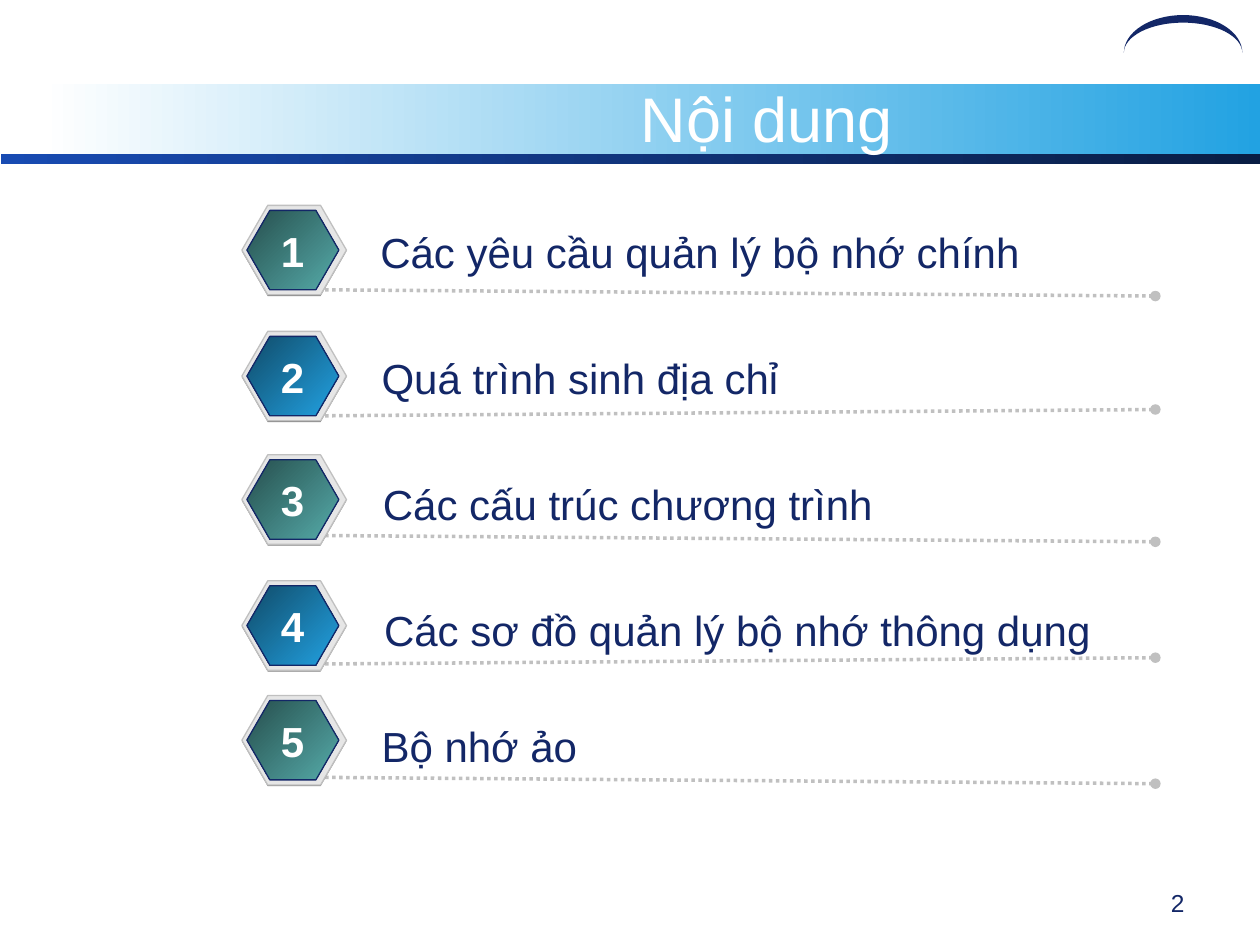
from math import cos, pi, sin
from lxml.etree import SubElement
from pptx import Presentation
from pptx.dml.color import RGBColor
from pptx.enum.dml import MSO_LINE
from pptx.enum.shapes import MSO_CONNECTOR, MSO_SHAPE
from pptx.enum.text import MSO_ANCHOR, PP_ALIGN
from pptx.oxml.ns import qn
from pptx.util import Inches, Pt

WHITE = RGBColor(0xFF, 0xFF, 0xFF)
NAVY = RGBColor(0x13, 0x27, 0x67)
SKY = RGBColor(0x22, 0xA2, 0xE2)
DEEP = RGBColor(0x10, 0x4B, 0x69)
PINE = RGBColor(0x27, 0x4F, 0x4E)
TEAL = RGBColor(0x55, 0xAB, 0xA9)
ROYAL = RGBColor(0x18, 0x4B, 0xB2)
NIGHT = RGBColor(0x09, 0x1D, 0x44)
GRAY = RGBColor(0x80, 0x80, 0x80)
PALE = RGBColor(0xE6, 0xE6, 0xE6)
SILVER = RGBColor(0xC0, 0xC0, 0xC0)

ITEMS = [
    (1.63, 2.92, 1.75, 2.30, "Các yêu cầu quản lý bộ nhớ chính"),
    (2.63, 2.93, 2.75, 3.30, "Quá trình sinh địa chỉ"),
    (3.61, 2.94, 3.75, 4.25, "Các cấu trúc chương trình"),
    (4.61, 2.95, 4.75, 5.27, "Các sơ đồ quản lý bộ nhớ thông dụng"),
    (5.52, 2.93, 5.67, 6.17, "Bộ nhớ ảo"),
]


def paint(shape, colors, angle=0, edge=None):
    shape.shadow.inherit = False
    if len(colors) == 1:
        shape.fill.solid()
        shape.fill.fore_color.rgb = colors[0]
    else:
        shape.fill.gradient()
        shape.fill.gradient_angle = angle
        for stop, color in zip(shape.fill.gradient_stops, colors):
            stop.color.rgb = color
    if edge is None:
        shape.line.fill.background()
    else:
        shape.line.color.rgb = edge
        shape.line.width = Pt(0.74)


def add_bar(slide, left, top, width, height, colors):
    bar = slide.shapes.add_shape(MSO_SHAPE.RECTANGLE, Inches(left), Inches(top),
                                 Inches(width), Inches(height))
    paint(bar, colors)


def add_arc(slide):
    steps = 32
    turns = [pi * i / steps for i in range(steps + 1)]
    outer = [(9.39 - 0.47 * cos(t), 0.42 - 0.30 * sin(t)) for t in turns]
    inner = [(9.39 + 0.47 * cos(t), 0.42 - 0.24 * sin(t)) for t in turns]
    points = [(Inches(x), Inches(y)) for x, y in outer + inner]
    pen = slide.shapes.build_freeform(*points[0])
    pen.add_line_segments(points[1:], close=True)
    paint(pen.convert_to_shape(), [NAVY])


def add_text(slide, left, top, width, height, text, size, color,
             align=PP_ALIGN.LEFT, anchor=MSO_ANCHOR.TOP, bold=False):
    box = slide.shapes.add_textbox(Inches(left), Inches(top), Inches(width), Inches(height))
    frame = box.text_frame
    frame.word_wrap = True
    frame.vertical_anchor = anchor
    line = frame.paragraphs[0]
    line.text = text
    line.alignment = align
    line.font.name = "Arial"
    line.font.size = Pt(size)
    line.font.bold = bold
    line.font.color.rgb = color


def add_hex(group, left, top, width, height, colors, edge=None):
    shape = group.shapes.add_shape(MSO_SHAPE.HEXAGON, Inches(left), Inches(top),
                                   Inches(width), Inches(height))
    shape.adjustments[0] = 0.289
    shape.adjustments[1] = 1.155
    paint(shape, colors, 315, edge)


def add_badge(slide, top, number):
    colors = [PINE, TEAL] if number % 2 else [DEEP, SKY]
    group = slide.shapes.add_group_shape()
    add_hex(group, 1.92, top + 0.01, 0.83, 0.71, [GRAY])
    add_hex(group, 1.92, top, 0.83, 0.71, [PALE], SILVER)
    add_hex(group, 1.96, top + 0.04, 0.73, 0.63, colors, NAVY)
    add_text(slide, 2.13, top + 0.11, 0.38, 0.5, str(number), 24, WHITE,
             PP_ALIGN.CENTER, bold=True)


def add_rule(slide, start, end):
    rule = slide.shapes.add_connector(MSO_CONNECTOR.STRAIGHT, Inches(2.58), Inches(start),
                                      Inches(9.17), Inches(end))
    rule.line.color.rgb = SILVER
    rule.line.width = Pt(2)
    rule.line.dash_style = MSO_LINE.ROUND_DOT
    SubElement(rule.line._get_or_add_ln(), qn("a:tailEnd"), type="oval")
    SubElement(rule._element.spPr, qn("a:effectLst"))


def main():
    deck = Presentation()
    deck.slide_width, deck.slide_height = Inches(10), Inches(7.5)
    slide = deck.slides.add_slide(deck.slide_layouts[6])
    add_bar(slide, 0.33, 0.67, 9.67, 0.58, [WHITE, SKY])
    add_bar(slide, 0.01, 1.22, 10, 0.08, [ROYAL, NIGHT])
    add_arc(slide)
    add_text(slide, 2.67, 0.67, 6.83, 0.53, "Nội dung", 36, WHITE,
             PP_ALIGN.CENTER, MSO_ANCHOR.MIDDLE)
    for number, (top, left, level, start, text) in enumerate(ITEMS, 1):
        slope = 0.05 if number % 2 else -0.05
        add_rule(slide, start, start + slope)
        add_badge(slide, top, number)
        add_text(slide, left, level, 6, 0.5, text, 24, NAVY)
    add_text(slide, 7.17, 7, 2.33, 0.35, "2", 14, NAVY, PP_ALIGN.RIGHT)
    deck.save("out.pptx")


main()
